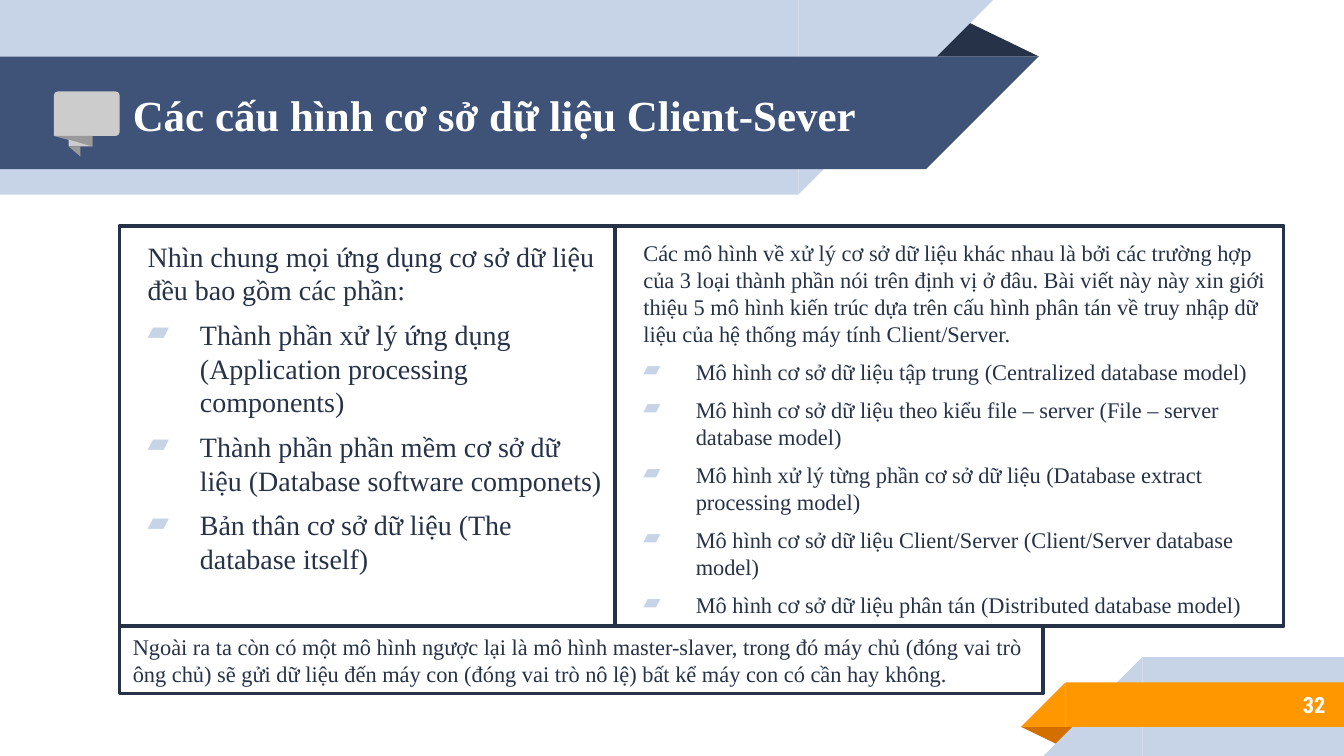
from dataclasses import dataclass

import lxml.etree
import pptx
import pptx.dml.color
import pptx.enum.shapes
import pptx.enum.text
import pptx.oxml.ns
import pptx.util

Cm = pptx.util.Cm
Pt = pptx.util.Pt
SHAPE = pptx.enum.shapes.MSO_SHAPE
ALIGN = pptx.enum.text.PP_ALIGN
ANCHOR = pptx.enum.text.MSO_ANCHOR

PAGE_WIDTH, PAGE_HEIGHT = 25.4, 14.29
NAVY, BLUE, PALE = "263248", "3F5378", "C7D3E6"
ORANGE, RUST = "FF9800", "D26F00"
LIGHT_GREY, GREY, WHITE = "CCCCCC", "999999", "FFFFFF"
SERIF = "Times New Roman"
MARGIN, COLUMN_SPLIT = 2.26, 11.63
PANEL_TOP, PANEL_HEIGHT = 4.27, 7.57


@dataclass
class Area:
    left: float
    top: float
    width: float
    height: float


@dataclass
class Ribbon:
    """A band reaching one page edge, with a 45 degree end beyond the corner."""
    corner: float
    top: float
    height: float
    colour: str
    from_left: bool


@dataclass
class Style:
    size: float
    colour: str = NAVY
    font: str = SERIF
    bold: bool = False
    align: ALIGN = ALIGN.LEFT


@dataclass
class Panel:
    area: Area
    size: float
    intro: str
    items: list[str]


RIBBONS_TOP = [
    Ribbon(15.09, 0, 3.68, PALE, True),
    Ribbon(17.5, 1.07, 2.13, BLUE, True),
]
RIBBONS_BOTTOM = [
    Ribbon(21.59, 12.42, 1.87, PALE, False),
    Ribbon(20.14, 12.9, 0.84, ORANGE, False),
]
SPEECH_ICON = [
    (LIGHT_GREY, [(1.02, 2.57), (1.02, 1.8), (1.04, 1.75), (1.09, 1.73), (2.19, 1.73),
                  (2.24, 1.75), (2.26, 1.8), (2.26, 2.5), (2.24, 2.55), (2.19, 2.57)]),
    (GREY, [(1.75, 2.77), (1.02, 2.57), (1.75, 2.57)]),
    (LIGHT_GREY, [(1.3, 2.77), (1.75, 2.77), (1.3, 2.64)]),
    (GREY, [(1.52, 2.96), (1.3, 2.77), (1.52, 2.77)]),
]
PANELS = [
    Panel(
        Area(MARGIN, PANEL_TOP, COLUMN_SPLIT - MARGIN, PANEL_HEIGHT), 15,
        "Nhìn chung mọi ứng dụng cơ sở dữ liệu đều bao gồm các phần:",
        ["Thành phần xử lý ứng dụng (Application processing components)",
         "Thành phần phần mềm cơ sở dữ liệu (Database software componets)",
         "Bản thân cơ sở dữ liệu (The database itself)"]),
    Panel(
        Area(COLUMN_SPLIT, PANEL_TOP, 12.63, PANEL_HEIGHT), 12,
        "Các mô hình về xử lý cơ sở dữ liệu khác nhau là bởi các trường hợp của 3 loại "
        "thành phần nói trên định vị ở đâu. Bài viết này này xin giới thiệu 5 mô hình "
        "kiến trúc dựa trên cấu hình phân tán về truy nhập dữ liệu của hệ thống máy tính "
        "Client/Server.",
        ["Mô hình cơ sở dữ liệu tập trung (Centralized database model)",
         "Mô hình cơ sở dữ liệu theo kiểu file – server (File – server database model)",
         "Mô hình xử lý từng phần cơ sở dữ liệu (Database extract processing model)",
         "Mô hình cơ sở dữ liệu Client/Server (Client/Server database model)",
         "Mô hình cơ sở dữ liệu phân tán (Distributed database model)"]),
]
CLOSING = ("Ngoài ra ta còn có một mô hình ngược lại là mô hình master-slaver, trong đó máy chủ "
           "(đóng vai trò ông chủ) sẽ gửi dữ liệu đến máy con (đóng vai trò nô lệ) bất kể "
           "máy con có cần hay không.")


def rgb(colour: str) -> pptx.dml.color.RGBColor:
    return pptx.dml.color.RGBColor.from_string(colour)


def bounds(area: Area) -> tuple:
    return Cm(area.left), Cm(area.top), Cm(area.width), Cm(area.height)


def paint(shape, colour: str) -> None:
    shape.shadow.inherit = False
    shape.fill.solid()
    shape.fill.fore_color.rgb = rgb(colour)
    shape.line.fill.background()


def add_preset(page, kind, area: Area, colour: str):
    shape = page.shapes.add_shape(kind, *bounds(area))
    paint(shape, colour)
    return shape


def add_ribbon(page, ribbon: Ribbon) -> None:
    if ribbon.from_left:
        left, width, tip, flip = 0, ribbon.corner, ribbon.corner, "flipV"
    else:
        left, width = ribbon.corner, PAGE_WIDTH - ribbon.corner
        tip, flip = ribbon.corner - ribbon.height, "flipH"
    add_preset(page, SHAPE.RECTANGLE, Area(left, ribbon.top, width, ribbon.height), ribbon.colour)
    end = add_preset(page, SHAPE.RIGHT_TRIANGLE,
                     Area(tip, ribbon.top, ribbon.height, ribbon.height), ribbon.colour)
    end._element.spPr.xfrm.set(flip, "1")


def add_fold(page, area: Area, colour: str, rotation: float = 0) -> None:
    fold = add_preset(page, SHAPE.ISOSCELES_TRIANGLE, area, colour)
    fold.adjustments[0] = 0.32
    fold.rotation = rotation


def add_polygon(page, colour: str, points: list[tuple[float, float]]) -> None:
    corners = [(Cm(x), Cm(y)) for x, y in points]
    builder = page.shapes.build_freeform(*corners[0])
    builder.add_line_segments(corners[1:], close=True)
    paint(builder.convert_to_shape(), colour)


def add_frame(page, area: Area):
    frame = add_preset(page, SHAPE.RECTANGLE, area, WHITE)
    frame.line.color.rgb = rgb(NAVY)
    frame.line.width = Pt(2)
    return frame


def prepare_text(box, anchor, inset: float = 0.25):
    """Set wrapping, anchor and insets; inset is the top and bottom one."""
    text = box.text_frame
    text.word_wrap = True
    text.vertical_anchor = anchor
    text.margin_left = text.margin_right = Cm(0.25)
    text.margin_top = text.margin_bottom = Cm(inset)
    return text


def write(para, words: str, style: Style) -> None:
    para.text = words
    para.alignment = style.align
    para.font.size = Pt(style.size)
    para.font.name = style.font
    para.font.bold = style.bold
    para.font.color.rgb = rgb(style.colour)


def indent(para, left: float, first: float) -> None:
    properties = para._p.get_or_add_pPr()
    properties.set("marL", str(Cm(left)))
    properties.set("indent", str(Cm(first)))


def add_bullet(para) -> None:
    properties = para._p.get_or_add_pPr()
    qn = pptx.oxml.ns.qn
    tint = lxml.etree.SubElement(properties, qn("a:buClr"))
    lxml.etree.SubElement(tint, qn("a:srgbClr"), val=PALE)
    lxml.etree.SubElement(properties, qn("a:buChar"), char="▰")


def add_panel(page, panel: Panel) -> None:
    text = prepare_text(add_frame(page, panel.area), ANCHOR.TOP)
    style = Style(panel.size)
    indent(text.paragraphs[0], 0.28, 0)
    write(text.paragraphs[0], panel.intro, style)
    for item in panel.items:
        para = text.add_paragraph()
        indent(para, 1.27, -0.99)
        add_bullet(para)
        para.space_before = Pt(6)
        write(para, item, style)


def add_label(page, area: Area, words: str, style: Style) -> None:
    box = page.shapes.add_textbox(*bounds(area))
    write(prepare_text(box, ANCHOR.MIDDLE).paragraphs[0], words, style)


def main() -> None:
    deck = pptx.Presentation()
    deck.slide_width, deck.slide_height = Cm(PAGE_WIDTH), Cm(PAGE_HEIGHT)
    page = deck.slides.add_slide(deck.slide_layouts[6])

    add_fold(page, Area(17.48, 0.36, 2.16, 0.71), NAVY)
    for ribbon in RIBBONS_TOP:
        add_ribbon(page, ribbon)
    add_fold(page, Area(19.3, 13.74, 1.09, 0.36), RUST, 180)
    for ribbon in RIBBONS_BOTTOM:
        add_ribbon(page, ribbon)

    add_label(page, Area(MARGIN, 1.09, 14.6, 2.13), "Các cấu hình cơ sở dữ liệu Client-Sever",
              Style(23, WHITE, bold=True))
    for panel in PANELS:
        add_panel(page, panel)
    add_label(page, Area(21.16, 12.88, 4.14, 0.89), "32",
              Style(12, WHITE, "Roboto Condensed", True, ALIGN.RIGHT))
    for colour, points in SPEECH_ICON:
        add_polygon(page, colour, points)

    closing = add_frame(page, Area(MARGIN, PANEL_TOP + PANEL_HEIGHT, 17.45, 1.27))
    write(prepare_text(closing, ANCHOR.TOP, 0.13).paragraphs[0], CLOSING, Style(12))
    deck.save("out.pptx")


if __name__ == "__main__":
    main()
